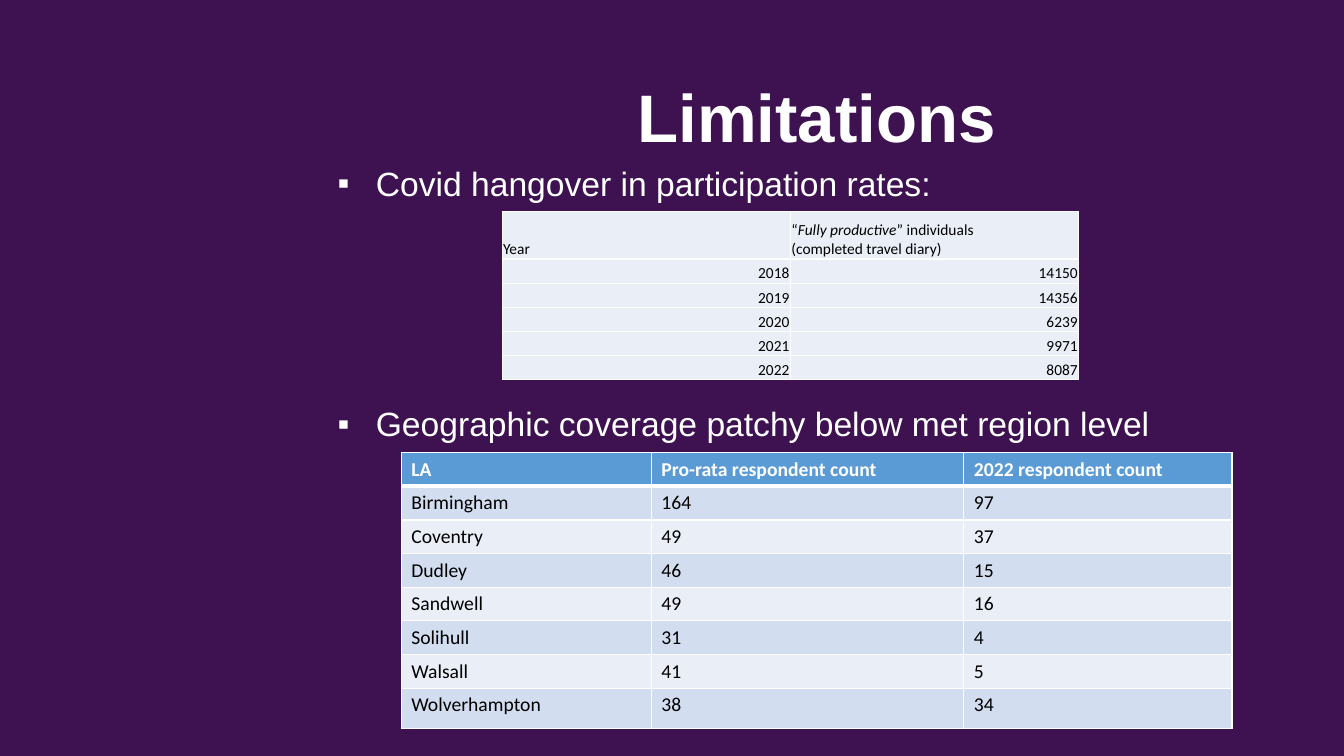
from lxml.etree import SubElement
from pptx import Presentation
from pptx.dml.color import RGBColor
from pptx.enum.text import MSO_ANCHOR, PP_ALIGN
from pptx.oxml.ns import qn
from pptx.util import Inches, Pt

COLORS = {
    "background": "3E1151",
    "white": "FFFFFF",
    "black": "000000",
    "header": "5B9BD5",
    "band": "D2DEEF",
    "light": "EAEFF7",
}
TITLE = "Limitations"
BULLETS = [
    ("Covid hangover in participation rates:", 0),
    ("Geographic coverage patchy below met region level", 146),
]
DIARY_HEADER = [("“", False), ("Fully productive", True),
                ("” individuals \v(completed travel diary)", False)]
DIARY_ROWS = [
    ("Year", DIARY_HEADER),
    ("2018", "14150"),
    ("2019", "14356"),
    ("2020", "6239"),
    ("2021", "9971"),
    ("2022", "8087"),
]
AUTHORITY_ROWS = [
    ("LA", "Pro-rata respondent count", "2022 respondent count"),
    ("Birmingham", "164", "97"),
    ("Coventry", "49", "37"),
    ("Dudley", "46", "15"),
    ("Sandwell", "49", "16"),
    ("Solihull", "31", "4"),
    ("Walsall", "41", "5"),
    ("Wolverhampton", "38", "34"),
]
DIARY_HEIGHTS = [0.47] + [0.24] * 5
AUTHORITY_HEIGHTS = [0.32] * 7 + [0.4]


def write_text(paragraph, text, size, color="white", font="Arial", bold=False,
               align=PP_ALIGN.LEFT, line_spacing=1.0, space_before=0):
    paragraph.alignment = align
    paragraph.line_spacing = line_spacing
    paragraph.space_before = Pt(space_before)
    pieces = [(text, False)] if isinstance(text, str) else text
    for piece, italic in pieces:
        for index, line in enumerate(piece.split("\v")):
            if index:
                paragraph.add_line_break()
            run = paragraph.add_run()
            run.text = line
            run.font.size = Pt(size)
            run.font.name = font
            run.font.bold = bold
            run.font.italic = italic
            run.font.color.rgb = RGBColor.from_string(COLORS[color])


def add_text_frame(slide, left, top, width, height, anchor):
    frame = slide.shapes.add_textbox(
        Inches(left), Inches(top), Inches(width), Inches(height)).text_frame
    frame.word_wrap = True
    frame.vertical_anchor = anchor
    return frame


def add_bullet(paragraph):
    properties = paragraph._p.get_or_add_pPr()
    properties.set("marL", str(Inches(0.38)))
    properties.set("indent", str(-Inches(0.38)))
    SubElement(properties, qn("a:buFont"), typeface="Arial")
    SubElement(properties, qn("a:buChar"), char="▪")


def style_cell(cell, fill, bottom_width=1):
    properties = cell._tc.get_or_add_tcPr()
    for side, width in (("L", 1), ("R", 1), ("T", 1), ("B", bottom_width)):
        border = SubElement(properties, qn(f"a:ln{side}"), w=str(Pt(width)))
        solid = SubElement(border, qn("a:solidFill"))
        SubElement(solid, qn("a:srgbClr"), val=COLORS["white"])
    cell.fill.solid()
    cell.fill.fore_color.rgb = RGBColor.from_string(COLORS[fill])


def add_grid(slide, left, top, widths, heights):
    table = slide.shapes.add_table(
        len(heights), len(widths), Inches(left), Inches(top),
        Inches(sum(widths)), Inches(sum(heights))).table
    table.horz_banding = False
    for column, width in zip(table.columns, widths):
        column.width = Inches(width)
    for row, height in zip(table.rows, heights):
        row.height = Inches(height)
    return table


def add_diary_table(slide):
    table = add_grid(slide, 4.98, 2.1, [2.86, 2.86], DIARY_HEIGHTS)
    table.first_row = False
    for row, values in enumerate(DIARY_ROWS):
        for column, value in enumerate(values):
            cell = table.cell(row, column)
            style_cell(cell, "light")
            cell.vertical_anchor = MSO_ANCHOR.BOTTOM
            cell.margin_left = cell.margin_right = cell.margin_top = Inches(0.01)
            cell.margin_bottom = 0
            write_text(cell.text_frame.paragraphs[0], value, size=11,
                       color="black", font="Calibri",
                       align=PP_ALIGN.RIGHT if row else PP_ALIGN.LEFT)


def add_authority_table(slide):
    table = add_grid(slide, 3.98, 4.49, [2.48, 3.1, 2.66], AUTHORITY_HEIGHTS)
    for row, values in enumerate(AUTHORITY_ROWS):
        header = row == 0
        fill = "header" if header else ("light", "band")[row % 2]
        for column, value in enumerate(values):
            cell = table.cell(row, column)
            style_cell(cell, fill, bottom_width=3 if header else 1)
            write_text(cell.text_frame.paragraphs[0], value, size=14,
                       color="white" if header else "black",
                       font="Calibri", bold=header)


def main():
    """Build the slide on survey limitations."""
    presentation = Presentation()
    presentation.slide_width = Inches(13.33)
    presentation.slide_height = Inches(7.5)
    slide = presentation.slides.add_slide(presentation.slide_layouts[6])
    slide.background.fill.solid()
    slide.background.fill.fore_color.rgb = RGBColor.from_string(COLORS["background"])

    title = add_text_frame(slide, 3.25, 0.79, 9.7, 0.82, MSO_ANCHOR.BOTTOM)
    write_text(title.paragraphs[0], TITLE, size=48, bold=True,
               align=PP_ALIGN.CENTER, line_spacing=0.9)

    body = add_text_frame(slide, 3.25, 1.61, 9.7, 5.36, MSO_ANCHOR.TOP)
    for index, (text, space_before) in enumerate(BULLETS):
        paragraph = body.add_paragraph() if index else body.paragraphs[0]
        write_text(paragraph, text, size=24, line_spacing=0.9,
                   space_before=space_before)
        add_bullet(paragraph)

    add_diary_table(slide)
    add_authority_table(slide)
    presentation.save("out.pptx")


if __name__ == "__main__":
    main()
